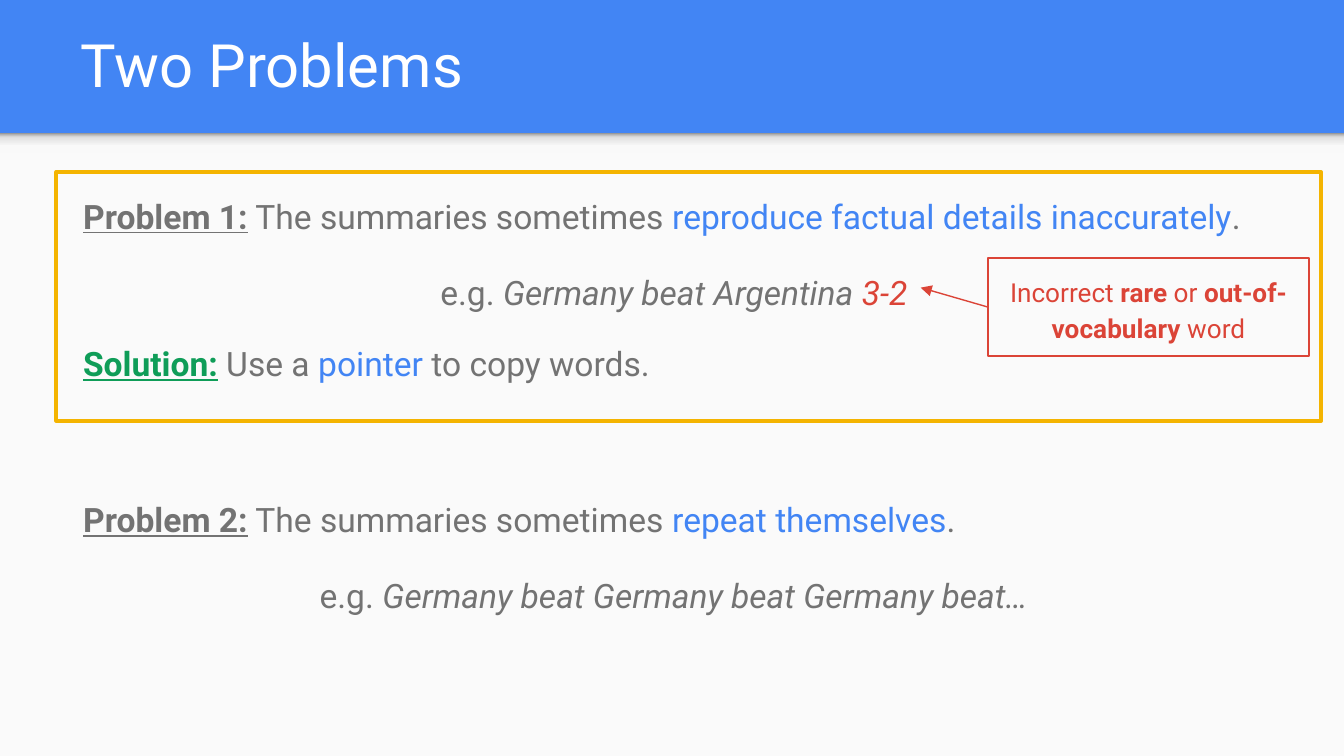
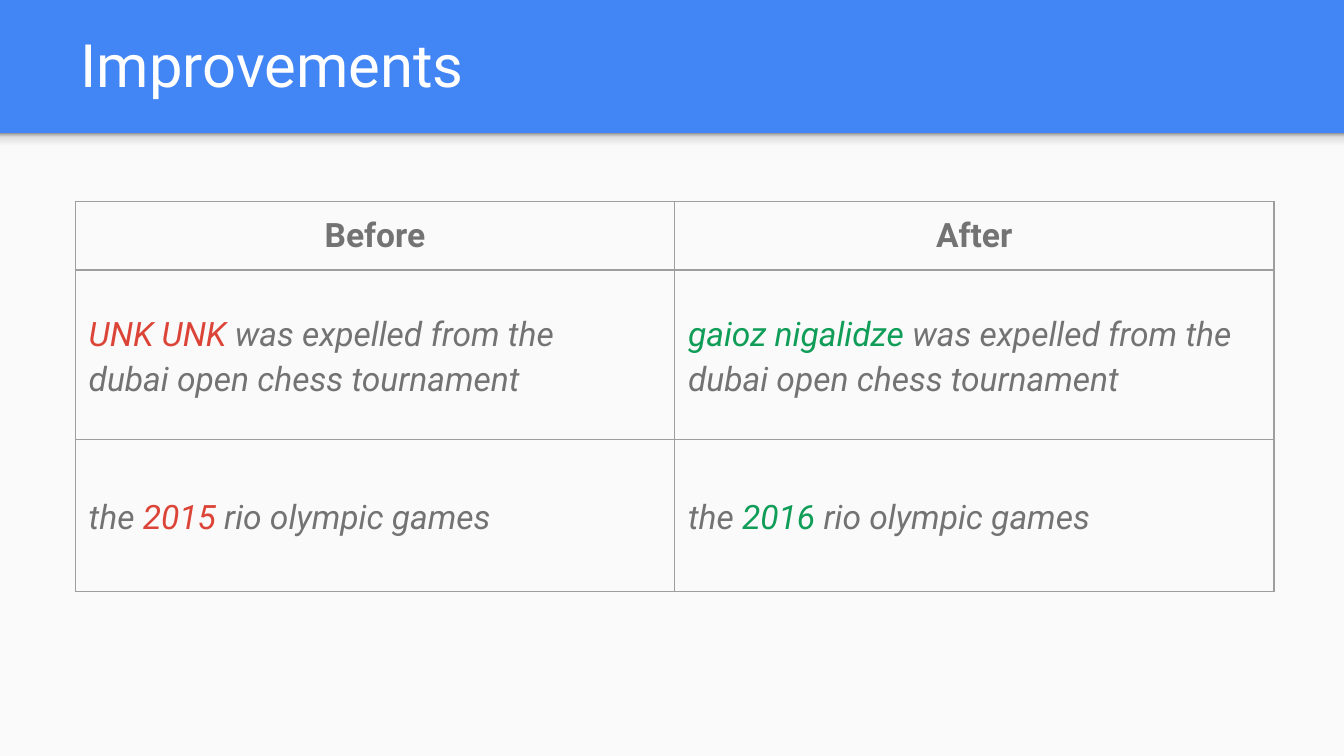
import pptx
import pptx.dml.color
import pptx.enum.shapes
import pptx.enum.text
import pptx.oxml
import pptx.oxml.ns
import pptx.util
from lxml import etree

Pt = pptx.util.Pt
RGBColor = pptx.dml.color.RGBColor
qn = pptx.oxml.ns.qn
ALIGN = pptx.enum.text.PP_ALIGN
ANCHOR = pptx.enum.text.MSO_ANCHOR
RECTANGLE = pptx.enum.shapes.MSO_SHAPE.RECTANGLE

FONT = "Roboto"
BLUE = RGBColor(0x42, 0x85, 0xF4)
RED = RGBColor(0xDB, 0x44, 0x37)
GREEN = RGBColor(0x0F, 0x9D, 0x58)
YELLOW = RGBColor(0xF4, 0xB4, 0x00)
GREY = RGBColor(0x73, 0x73, 0x73)
BORDER = RGBColor(0x9E, 0x9E, 0x9E)
PAPER = RGBColor(0xFA, 0xFA, 0xFA)
WHITE = RGBColor(0xFF, 0xFF, 0xFF)
WIDTH, HEIGHT, BAND = 720, 405, 71.3
INSET = Pt(7.2)


def add_text(paragraph, text, size=18, colour=GREY, bold=False, italic=False,
             underline=False, align=ALIGN.LEFT, spacing=1.15, after=16):
    """Append text to a paragraph; its first piece also sets the paragraph format."""
    if not paragraph.runs:
        properties = paragraph._p.get_or_add_pPr()
        properties.set("marL", "0")
        properties.set("indent", "0")
        etree.SubElement(properties, qn("a:buNone"))
        paragraph.alignment = align
        paragraph.line_spacing = spacing
        paragraph.space_before = Pt(0)
        paragraph.space_after = Pt(after)
    for number, line in enumerate(text.split("\n")):
        if number:
            paragraph.add_line_break()
        run = paragraph.add_run()
        run.text = line
        run.font.name = FONT
        run.font.size = Pt(size)
        run.font.color.rgb = colour
        run.font.bold = bold
        run.font.italic = italic
        run.font.underline = underline


def place(shape, left, top, width, height, anchor=ANCHOR.TOP):
    """Position a text shape and return its frame, ready for text."""
    shape.left, shape.top, shape.width, shape.height = map(Pt, (left, top, width, height))
    frame = shape.text_frame
    frame.word_wrap = True
    frame.auto_size = pptx.enum.text.MSO_AUTO_SIZE.NONE
    frame.vertical_anchor = anchor
    frame.margin_left = frame.margin_right = frame.margin_top = frame.margin_bottom = INSET
    return frame


prs = pptx.Presentation()
prs.slide_width, prs.slide_height = Pt(WIDTH), Pt(HEIGHT)
problems = prs.slides.add_slide(prs.slide_layouts[3])
improvements = prs.slides.add_slide(prs.slide_layouts[5])

# Master: blue background, pale page and the shadow under the title band
master = prs.slide_master
master.background.fill.solid()
master.background.fill.fore_color.rgb = BLUE

page = problems.shapes.add_shape(RECTANGLE, 0, Pt(BAND), Pt(WIDTH), Pt(HEIGHT - BAND))
page.fill.solid()
page.fill.fore_color.rgb = PAPER
band_shadow = problems.shapes.add_shape(RECTANGLE, 0, Pt(BAND), Pt(WIDTH), Pt(10.8))
band_shadow.fill.gradient()
band_shadow.fill.gradient_angle = 90
stops = band_shadow._element.spPr.find(".//" + qn("a:gsLst"))
for stop in list(stops):
    stops.remove(stop)
for percent, shade in ((0, "F9F9F9"), (36, "F9F9F9"), (80, "DEDEDE"), (100, "999999")):
    stop = etree.SubElement(stops, qn("a:gs"), pos=str(percent * 1000))
    etree.SubElement(stop, qn("a:srgbClr"), val=shade)
for position, backdrop in enumerate((page, band_shadow), start=2):
    backdrop.line.fill.background()
    backdrop.shadow.inherit = False
    master.element.cSld.spTree.insert(position, backdrop._element)

# Titles
for slide, heading in ((problems, "Two Problems"), (improvements, "Improvements")):
    frame = place(slide.shapes.title, 36, 0, 647.3, 60.5, ANCHOR.BOTTOM)
    add_text(frame.paragraphs[0], heading, size=32, colour=WHITE, spacing=1.0, after=0)

# Two problems, each with an example
PROBLEMS = (
    (1, 94.3, 107.3, "reproduce factual details inaccurately", "Germany beat Argentina ", "3-2"),
    (2, 257, 89.3, "repeat themselves", "Germany beat Germany beat Germany beat…", ""),
)
for number, top, height, fault, example, error in PROBLEMS:
    frame = place(problems.placeholders[number], 37.4, top, 647.3, height)
    statement = frame.paragraphs[0]
    add_text(statement, f"Problem {number}:", bold=True, underline=True)
    add_text(statement, " The summaries sometimes ")
    add_text(statement, fault, colour=BLUE)
    add_text(statement, ".")
    illustration = frame.add_paragraph()
    add_text(illustration, "e.g. ", align=ALIGN.CENTER)
    add_text(illustration, example, italic=True)
    if error:
        add_text(illustration, error, colour=RED, italic=True)

# Callout on the wrong score
callout = problems.shapes.add_textbox(0, 0, 0, 0)
remark = place(callout, 529.2, 138.2, 172.1, 52.6).paragraphs[0]
callout.line.color.rgb = RED
callout.line.width = Pt(0.75)
for text, bold in (("Incorrect ", False), ("rare", True), (" or ", False),
                   ("out-of-vocabulary", True), (" word", False)):
    add_text(remark, text, size=14, colour=RED, bold=bold, align=ALIGN.CENTER)

pointer = problems.shapes.add_connector(
    pptx.enum.shapes.MSO_CONNECTOR.STRAIGHT, Pt(529.2), Pt(164.5), Pt(493.2), Pt(154.1))
pointer.begin_connect(callout, 1)
pointer.line.color.rgb = RED
pointer.line.width = Pt(0.75)
etree.SubElement(pointer.line._get_or_add_ln(), qn("a:tailEnd"), type="triangle")
etree.SubElement(pointer._element.spPr, qn("a:effectLst"))

# Solution to the first problem
solution = place(problems.shapes.add_textbox(0, 0, 0, 0), 37.4, 173.5, 647.3, 44.6).paragraphs[0]
add_text(solution, "Solution:", colour=GREEN, bold=True, underline=True)
add_text(solution, " Use a ")
add_text(solution, "pointer", colour=BLUE)
add_text(solution, " to copy words.")

# Frame around the first problem
highlight = problems.shapes.add_shape(RECTANGLE, Pt(30.2), Pt(92.2), Pt(677.5), Pt(133.2))
highlight.fill.background()
highlight.line.color.rgb = YELLOW
highlight.line.width = Pt(2.25)
highlight.shadow.inherit = False

# Before and after table: each cell is plain text, changed words, plain text
EXAMPLES = (
    (("", "UNK UNK", " was expelled from the \ndubai open chess tournament"),
     ("", "gaioz nigalidze", " was expelled from the dubai open chess tournament")),
    (("the ", "2015", " rio olympic games"),
     ("the ", "2016", " rio olympic games")),
)
ROW_HEIGHTS = (36.7, 90.7, 81.4)
COLUMN_WIDTH = 321.1
comparison = improvements.shapes.add_table(
    3, 2, Pt(40.3), Pt(108), Pt(2 * COLUMN_WIDTH), Pt(sum(ROW_HEIGHTS))).table
comparison.first_row = comparison.horz_banding = False
for column in comparison.columns:
    column.width = Pt(COLUMN_WIDTH)
for row, height in zip(comparison.rows, ROW_HEIGHTS):
    row.height = Pt(height)

for column, heading in enumerate(("Before", "After")):
    add_text(comparison.cell(0, column).text_frame.paragraphs[0], heading,
             bold=True, align=ALIGN.CENTER, spacing=1.0, after=0)
for row, sentences in enumerate(EXAMPLES, start=1):
    for column, (lead, changed, rest) in enumerate(sentences):
        sentence = comparison.cell(row, column).text_frame.paragraphs[0]
        if lead:
            add_text(sentence, lead, italic=True)
        add_text(sentence, changed, colour=(RED, GREEN)[column], italic=True)
        add_text(sentence, rest, italic=True)

for cell in comparison.iter_cells():
    cell.vertical_anchor = ANCHOR.MIDDLE
    cell.margin_left = cell.margin_right = cell.margin_top = cell.margin_bottom = INSET
    properties = cell._tc.get_or_add_tcPr()
    for side in ("a:lnL", "a:lnR", "a:lnT", "a:lnB"):
        edge = etree.SubElement(properties, qn(side), w=str(Pt(0.75)))
        fill = etree.SubElement(edge, qn("a:solidFill"))
        etree.SubElement(fill, qn("a:srgbClr"), val=str(BORDER))
    cell.fill.background()

prs.save("out.pptx")
